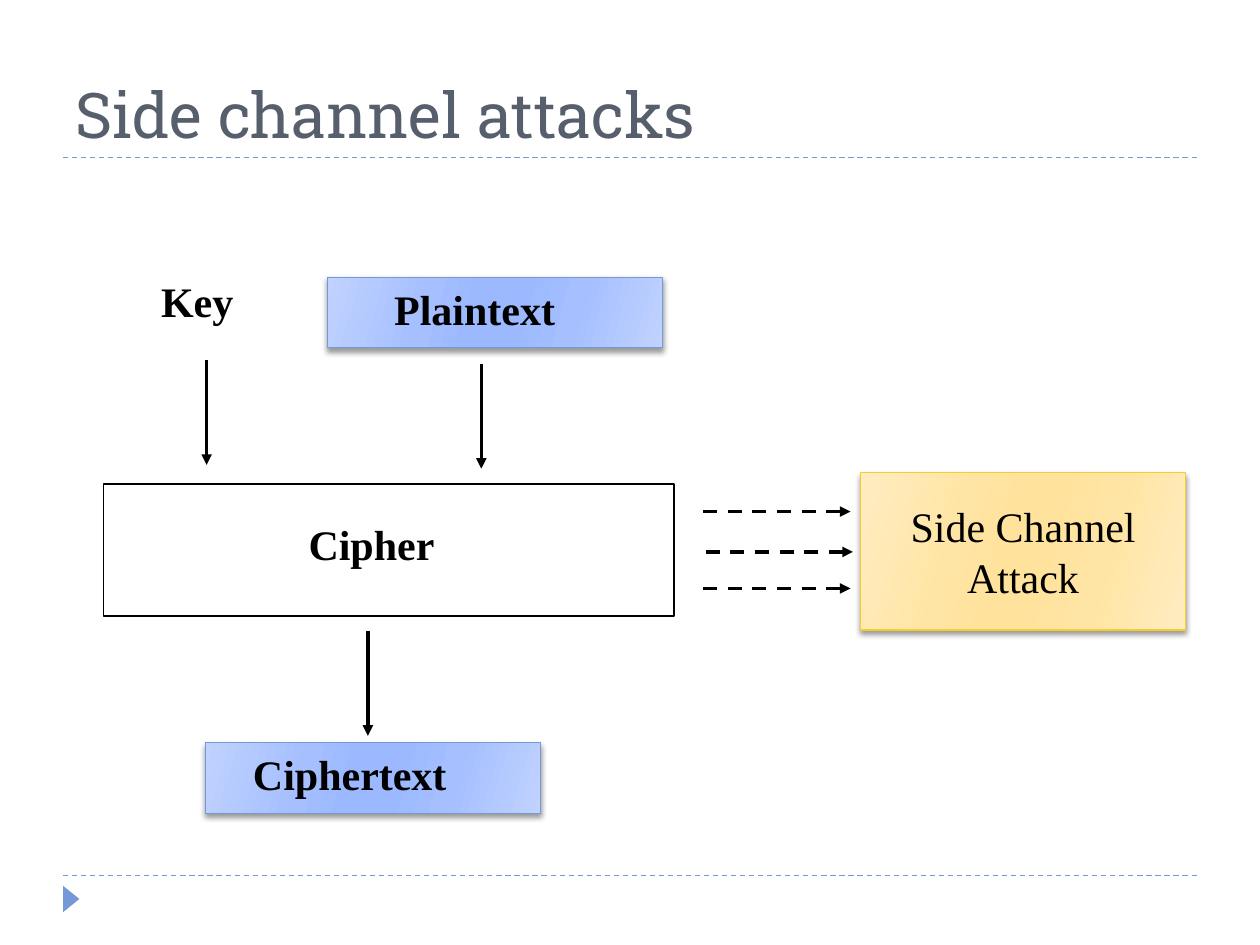
from dataclasses import dataclass
from typing import Optional

from lxml.etree import SubElement
from pptx import Presentation
from pptx.dml.color import RGBColor
from pptx.enum.dml import MSO_LINE
from pptx.enum.shapes import MSO_CONNECTOR, MSO_SHAPE
from pptx.enum.text import MSO_ANCHOR, PP_ALIGN
from pptx.oxml.ns import qn
from pptx.util import Inches, Pt

WIDE, HIGH = Inches(10), Inches(7.5)
COLS, ROWS = 100, 75
HUES = {
    "ink": "000000", "paper": "FFFFFF", "title": "575F6D",
    "blue": "7598D9", "gold": "F5CD2D",
}
FADES = {
    "blue": ("C0D2FE", "A5BFFF", "9CB9FF"),
    "gold": ("FFECC1", "FFE5A5", "FFE29B"),
}
STOPS = ((0, 0), (30, 1), (45, 2), (55, 2), (73, 1), (100, 0))


@dataclass
class Box:
    col: float
    row: float
    cols: float
    rows: float
    fill: Optional[str] = None
    line: Optional[str] = None
    fade: Optional[str] = None
    kind: MSO_SHAPE = MSO_SHAPE.RECTANGLE
    turn: float = 0


@dataclass
class Label:
    text: str
    col: float
    row: float
    cols: float
    fill: Optional[str] = None


@dataclass
class Arrow:
    col: float
    row: float
    cols: float = 0
    rows: float = 0
    dash: bool = False


def across(cols: float) -> int:
    return round(WIDE * cols / COLS)


def down(rows: float) -> int:
    return round(HIGH * rows / ROWS)


def area(col: float, row: float, cols: float, rows: float) -> tuple:
    return across(col), down(row), across(cols), down(rows)


def hue(name: str) -> RGBColor:
    return RGBColor.from_string(HUES[name])


def write(shape, text: str, *, size=24, face="Times New Roman", color="ink",
          bold=False, align=PP_ALIGN.LEFT, anchor=MSO_ANCHOR.TOP) -> None:
    frame = shape.text_frame
    frame.word_wrap = True
    frame.vertical_anchor = anchor
    frame.text = text
    para = frame.paragraphs[0]
    para.alignment = align
    font = para.runs[0].font
    font.size, font.name, font.bold = Pt(size), face, bold
    font.color.rgb = hue(color)


def blend(shape, name: str) -> None:
    shape.fill.gradient()
    shape.fill.gradient_angle = 344
    stops = shape.fill._fill._gradFill.find(qn("a:gsLst"))
    for stop in list(stops):
        stops.remove(stop)
    for place, tone in STOPS:
        stop = SubElement(stops, qn("a:gs"), pos=str(place * 1000))
        SubElement(stop, qn("a:srgbClr"), val=FADES[name][tone])


def shade(shape) -> None:
    glow = shape._element.spPr.find(qn("a:effectLst"))
    cast = SubElement(glow, qn("a:outerShdw"), blurRad=str(Pt(3)),
                      dist=str(Pt(2)), dir="5400000", rotWithShape="0")
    tint = SubElement(cast, qn("a:srgbClr"), val=HUES["ink"])
    SubElement(tint, qn("a:alpha"), val="40000")


def draw_box(slide, box: Box):
    shape = slide.shapes.add_shape(
        box.kind, *area(box.col, box.row, box.cols, box.rows))
    shape.rotation = box.turn
    shape.shadow.inherit = False
    if box.fade:
        blend(shape, box.fade)
        shade(shape)
    else:
        shape.fill.solid()
        shape.fill.fore_color.rgb = hue(box.fill)
    if box.line:
        shape.line.color.rgb = hue(box.line)
        shape.line.width = Pt(0.75)
    else:
        shape.line.fill.background()
    return shape


def draw_label(slide, label: Label) -> None:
    shape = slide.shapes.add_textbox(*area(label.col, label.row, label.cols, 5))
    if label.fill:
        shape.fill.solid()
        shape.fill.fore_color.rgb = hue(label.fill)
    write(shape, label.text, bold=True)


def draw_line(slide, arrow: Arrow, color="ink", width=2.0, head=True) -> None:
    line = slide.shapes.add_connector(
        MSO_CONNECTOR.STRAIGHT, across(arrow.col), down(arrow.row),
        across(arrow.col + arrow.cols), down(arrow.row + arrow.rows))
    line.line.color.rgb = hue(color)
    line.line.width = Pt(width)
    if arrow.dash:
        line.line.dash_style = MSO_LINE.DASH
    if head:
        SubElement(line.line._get_or_add_ln(), qn("a:tailEnd"), type="triangle")
    SubElement(line._element.spPr, qn("a:effectLst"))


def main() -> None:
    deck = Presentation()
    deck.slide_width, deck.slide_height = WIDE, HIGH
    slide = deck.slides.add_slide(deck.slide_layouts[5])

    title = slide.shapes.title
    title.left, title.top, title.width, title.height = area(5, 0, 90, 12.5)
    write(title, "Side channel attacks", size=36, face="Roboto Slab",
          color="title", anchor=MSO_ANCHOR.BOTTOM)
    for row in (69.5, 12.5):
        draw_line(slide, Arrow(5, row, cols=90, dash=True), "blue", 0.75, False)
    draw_box(slide, Box(4.6, 70.7, 2.1, 1.3, fill="blue",
                        kind=MSO_SHAPE.ISOSCELES_TRIANGLE, turn=90))

    for box in (
        Box(26, 22, 26.6, 5.6, line="blue", fade="blue"),
        Box(8.2, 38.4, 45.3, 10.5, fill="paper", line="ink"),
        Box(16.3, 58.95, 26.6, 5.6, line="blue", fade="blue"),
    ):
        draw_box(slide, box)
    for label in (
        Label("Plaintext", 30.3, 22, 18.6),
        Label("Cipher", 23.5, 40.7, 16.5, "paper"),
        Label("Ciphertext", 19.1, 58.9, 22),
        Label("Key", 11.8, 21.4, 8.8),
    ):
        draw_label(slide, label)

    for col, row in ((38.2, 28.9), (16.4, 28.6), (29.2, 50.1)):
        draw_line(slide, Arrow(col, row, rows=8.3))
    for col, row in ((56, 43.8), (55.8, 46.7), (55.8, 40.6)):
        draw_line(slide, Arrow(col, row, cols=11.7, dash=True))

    attack = draw_box(slide, Box(68.3, 37.5, 25.8, 12.5, line="gold", fade="gold"))
    write(attack, "Side Channel Attack", align=PP_ALIGN.CENTER,
          anchor=MSO_ANCHOR.MIDDLE)
    deck.save("out.pptx")


if __name__ == "__main__":
    main()
